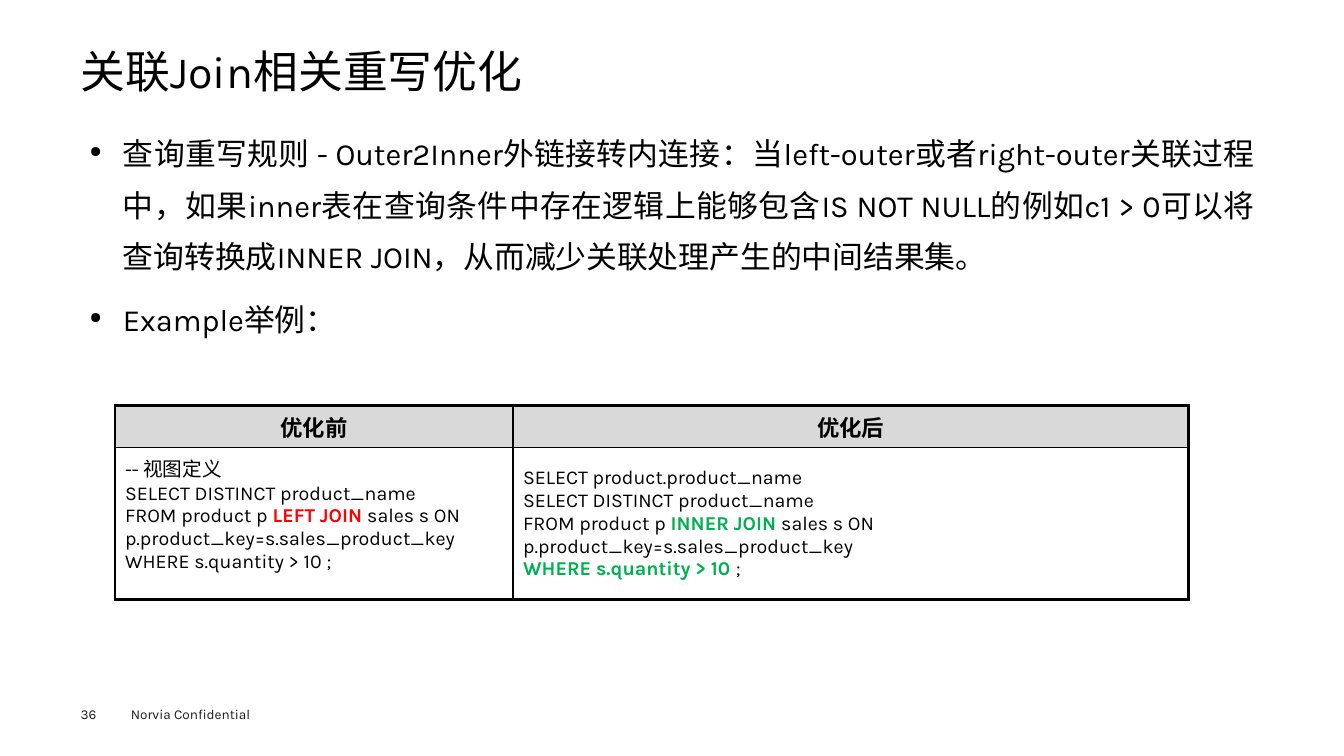
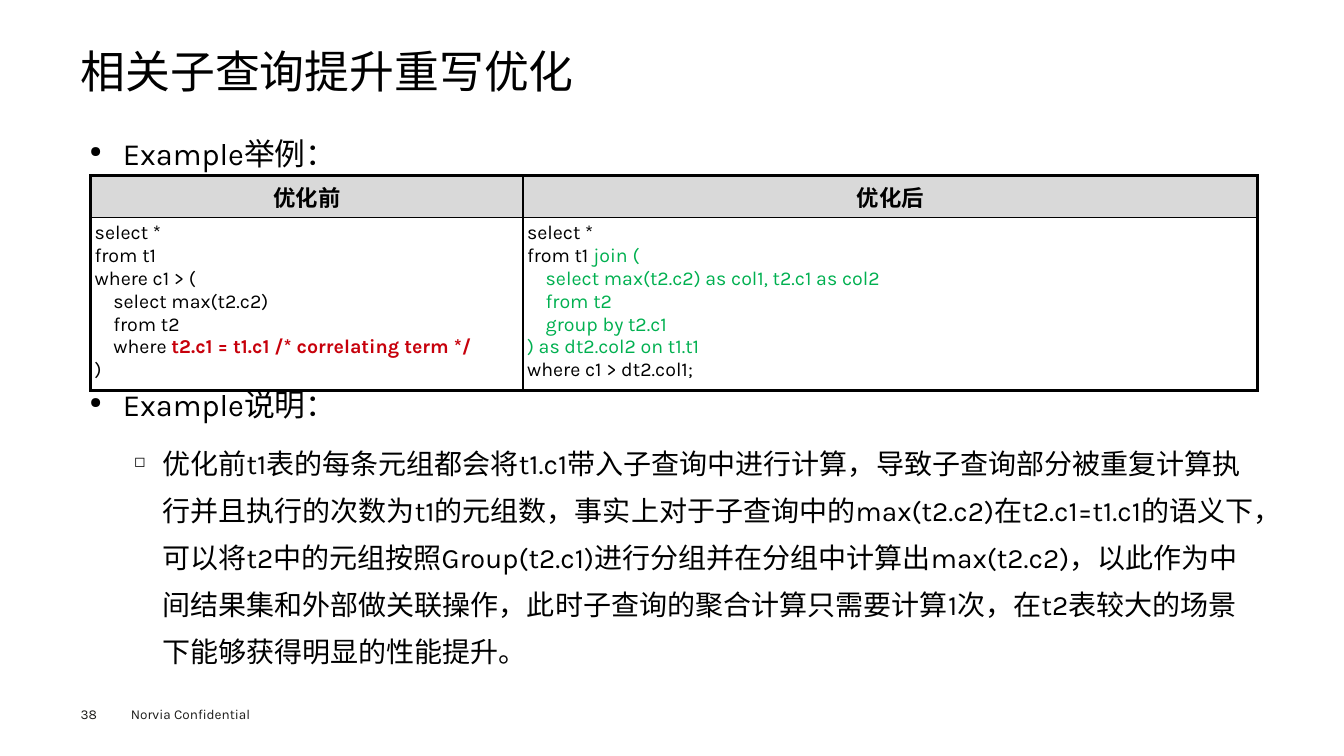
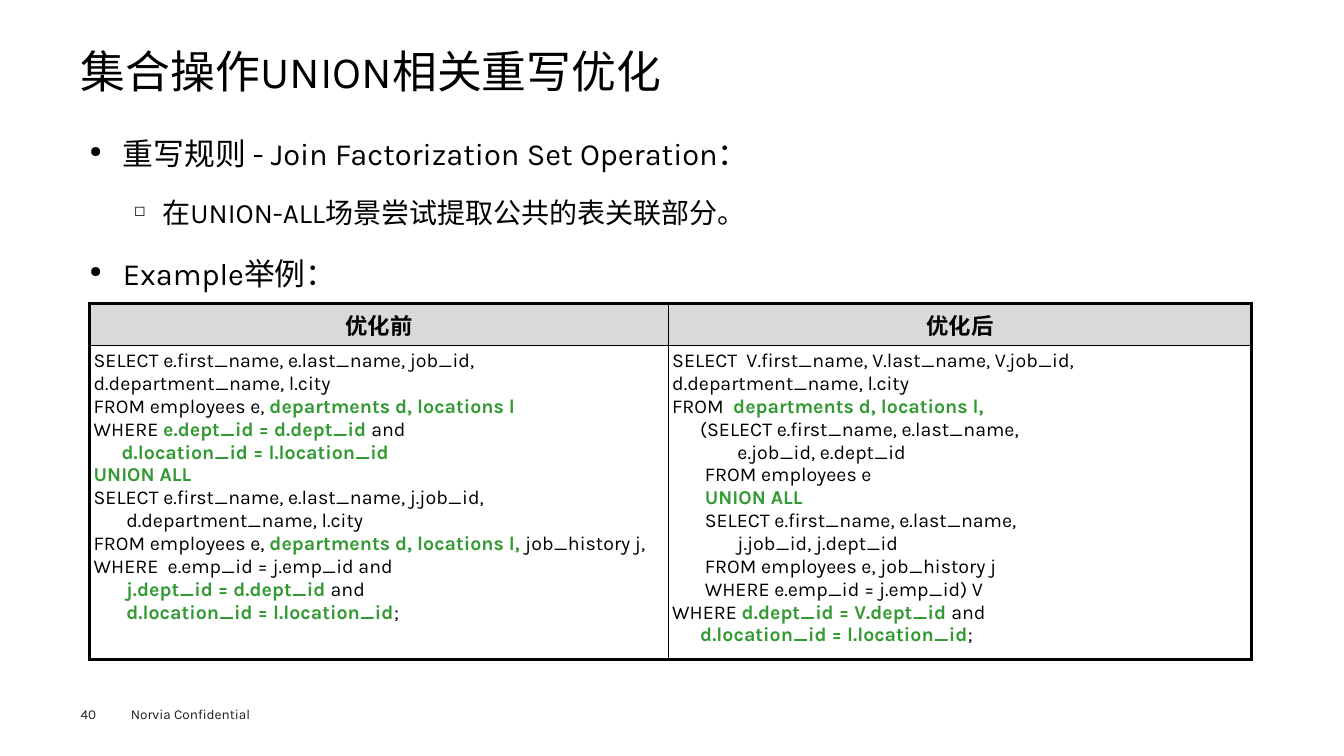
from dataclasses import dataclass

from lxml.etree import SubElement
from pptx import Presentation
from pptx.dml.color import RGBColor as Rgb
from pptx.enum.text import MSO_ANCHOR as Anchor, PP_ALIGN as Align
from pptx.oxml.ns import qn
from pptx.util import Inches, Pt


@dataclass(frozen=True)
class Theme:
    """Colours, type sizes and weights shared by all slides."""
    face: str = "Karla"
    ink: str = "000000"
    footer_ink: str = "1D1D1B"
    header_fill: str = "D9D9D9"
    paper: str = "FFFFFF"
    red: str = "FF0000"
    crimson: str = "C7000B"
    green: str = "00B050"
    forest: str = "339933"
    title: float = 32
    topic: float = 22
    detail: float = 20
    header: float = 16
    code: float = 14
    footer: float = 9.7
    outer: float = 2.25
    inner: float = 1


@dataclass(frozen=True)
class Query:
    """Code whose parts between bars are accented, with its cell format."""
    text: str
    accent: str
    bold: bool = True
    margins: tuple = (0.04, 0.04, 0.04, 0.04)
    anchor: Anchor = Anchor.TOP


THEME = Theme()
GRID = 100
HEADER_ROWS = 5.6
BULLETS = {
    0: {"mark": "●", "size": THEME.topic, "indent": (0.33, -0.33),
        "format": {"level": 0, "alignment": Align.JUSTIFY, "line_spacing": 1.4,
                   "space_before": Pt(7.9)}},
    1: {"mark": "◻", "size": THEME.detail, "indent": (0.72, -0.28),
        "format": {"level": 1, "alignment": Align.LEFT, "line_spacing": 1.4,
                   "space_before": Pt(7.2)}},
}


class Deck:
    """Holds the style and the current slide on a 100 by 100 grid."""

    def __init__(self, theme):
        """Start an empty widescreen presentation."""
        self.theme = theme
        self.show = Presentation()
        self.show.slide_width, self.show.slide_height = Inches(13.33), Inches(7.5)
        self.slide = None

    def across(self, columns):
        """Turn grid columns into a length."""
        return round(self.show.slide_width * columns / GRID)

    def down(self, rows):
        """Turn grid rows into a length."""
        return round(self.show.slide_height * rows / GRID)

    def apply(self, target, values):
        """Set each named value on the target."""
        for name, value in values.items():
            setattr(target, name, value)

    def add_words(self, paragraph, words, size, colour=None, bold=False):
        """Add one styled run to a paragraph."""
        run = paragraph.add_run()
        run.text = words
        self.apply(run.font, {"name": self.theme.face, "size": Pt(size), "bold": bold})
        run.font.color.rgb = Rgb.from_string(colour or self.theme.ink)

    def margins(self, target, inches):
        """Set left, top, right and bottom margins."""
        sides = ("margin_left", "margin_top", "margin_right", "margin_bottom")
        self.apply(target, dict(zip(sides, map(Inches, inches))))

    def box(self, left, top, width, height, inset=(0, 0, 0, 0)):
        """Add a wrapping text box and return its frame."""
        frame = self.slide.shapes.add_textbox(
            self.across(left), self.down(top),
            self.across(width), self.down(height)).text_frame
        frame.word_wrap = True
        self.margins(frame, inset)
        return frame

    def page(self, title, number):
        """Open a slide with its title and footer."""
        self.slide = self.show.slides.add_slide(self.show.slide_layouts[6])
        label = self.box(9, 92.67, 12, 3.6, (0.1, 0.05, 0.1, 0.05))
        folio = self.box(6, 93.33, 4.13, 2.13)
        for frame, words in ((label, "Norvia Confidential"), (folio, str(number))):
            self.add_words(frame.paragraphs[0], words, self.theme.footer,
                           self.theme.footer_ink)
        heading = self.box(6, 6.53, 88, 7.07).paragraphs[0]
        heading.line_spacing = 0.9
        self.add_words(heading, title, self.theme.title)

    def points(self, items, top=15.33, height=71.2):
        """Add bulleted text from pairs of level and words."""
        frame = self.box(6, top, 88, height, (0.09, 0.04, 0.09, 0.04))
        for order, (level, words) in enumerate(items):
            style = BULLETS[level]
            point = frame.add_paragraph() if order else frame.paragraphs[0]
            props = point._p.get_or_add_pPr()
            for name, inches in zip(("marL", "indent"), style["indent"]):
                props.set(name, str(Inches(inches)))
            SubElement(props, qn("a:buSzPct"), val="50000")
            SubElement(props, qn("a:buChar"), char=style["mark"])
            self.apply(point, style["format"])
            if not order:
                point.space_before = Pt(0)
            self.add_words(point, words, style["size"])

    def finish_cell(self, cell, row, column, fill):
        """Draw thick outer and thin inner borders, then fill."""
        props = cell._tc.get_or_add_tcPr()
        thick = {"L": column == 0, "R": column == 1, "T": row == 0, "B": row == 1}
        for side, is_outer in thick.items():
            points = self.theme.outer if is_outer else self.theme.inner
            line = SubElement(props, qn(f"a:ln{side}"), w=str(Pt(points)))
            paint = SubElement(line, qn("a:solidFill"))
            SubElement(paint, qn("a:srgbClr"), val=self.theme.ink)
        cell.fill.solid()
        cell.fill.fore_color.rgb = Rgb.from_string(fill)

    def code(self, cell, query):
        """Put a query into a cell, one paragraph a line."""
        self.margins(cell, query.margins)
        cell.vertical_anchor = query.anchor
        frame = cell.text_frame
        for order, line in enumerate(query.text.strip().splitlines()):
            paragraph = frame.add_paragraph() if order else frame.paragraphs[0]
            for place, words in enumerate(line.split("|")):
                accented = place % 2 == 1
                if words:
                    self.add_words(paragraph, words, self.theme.code,
                                   query.accent if accented else None,
                                   accented and query.bold)

    def comparison(self, left, top, widths, height, queries):
        """Add the table of queries before and after rewriting."""
        table = self.slide.shapes.add_table(
            2, 2, self.across(left), self.down(top), self.across(sum(widths)),
            self.down(HEADER_ROWS + height)).table
        self.apply(table, {"first_row": False, "horz_banding": False})
        for row, rows in zip(table.rows, (HEADER_ROWS, height)):
            row.height = self.down(rows)
        for column, (heading, query) in enumerate(zip(("优化前", "优化后"), queries)):
            table.columns[column].width = self.across(widths[column])
            header, body = table.cell(0, column), table.cell(1, column)
            caption = header.text_frame.paragraphs[0]
            caption.alignment = Align.CENTER
            self.add_words(caption, heading, self.theme.header, bold=True)
            self.code(body, query)
            self.finish_cell(header, 0, column, self.theme.header_fill)
            self.finish_cell(body, 1, column, self.theme.paper)


OUTER_JOIN = Query("""
-- 视图定义
SELECT DISTINCT product_name
FROM product p |LEFT JOIN |sales s ON p.product_key=s.sales_product_key
WHERE s.quantity > 10 ;
""", THEME.red, margins=(0.1, 0.05, 0.1, 0.25), anchor=Anchor.MIDDLE)

INNER_JOIN = Query("""
SELECT product.product_name
SELECT DISTINCT product_name
FROM product p |INNER JOIN |sales s ON p.product_key=s.sales_product_key
|WHERE s.quantity > 10 |;
""", THEME.green, margins=(0.1, 0.05, 0.1, 0.05), anchor=Anchor.MIDDLE)

SUBQUERY = Query("""
select *
from t1
where c1 > (
    select max(t2.c2)
    from t2
    where |t2.c1 = t1.c1 /* correlating term */|
)
""", THEME.crimson)

LIFTED = Query("""
select *
from t1 |join (
|    select max(t2.c2) as col1, t2.c1 as col2
|    from t2
|    group by t2.c1
|) as dt2.col2 on t1.t1
where c1 > dt2.col1;
""", THEME.green, bold=False)

UNION = Query("""
SELECT e.first_name, e.last_name, job_id, d.department_name, l.city
FROM employees e, |departments d, locations l
WHERE |e.dept_id = d.dept_id |and
      |d.location_id = l.location_id
|UNION ALL
SELECT e.first_name, e.last_name, j.job_id,
       d.department_name, l.city
FROM employees e, |departments d, locations l, |job_history j,
WHERE  e.emp_id = j.emp_id and
       |j.dept_id = d.dept_id |and
       |d.location_id = l.location_id|;
""", THEME.forest)

FACTORED = Query("""
SELECT  V.first_name, V.last_name, V.job_id, d.department_name, l.city
FROM  |departments d, locations l,
      (SELECT e.first_name, e.last_name,
              e.job_id, e.dept_id
       FROM employees e
       |UNION ALL
       SELECT e.first_name, e.last_name,
              j.job_id, j.dept_id
       FROM employees e, job_history j
       WHERE e.emp_id = j.emp_id) V
WHERE |d.dept_id = V.dept_id |and
      |d.location_id = l.location_id|;
""", THEME.forest)


def main():
    """Build the three slides and save them."""
    deck = Deck(THEME)
    example = (0, "Example举例：")

    deck.page("关联Join相关重写优化", 36)
    deck.points([
        (0, "查询重写规则 - Outer2Inner外链接转内连接：当left-outer或者right-outer"
            "关联过程中，如果inner表在查询条件中存在逻辑上能够包含IS NOT NULL的"
            "例如c1 > 0可以将查询转换成INNER JOIN，从而减少关联处理产生的中间结果集。"),
        example])
    deck.comparison(8.55, 53.6, (29.62, 50.25), 20.13, (OUTER_JOIN, INNER_JOIN))

    deck.page("相关子查询提升重写优化", 38)
    deck.points([example], height=7.8)
    deck.points([
        (0, "Example说明："),
        (1, "优化前t1表的每条元组都会将t1.c1带入子查询中进行计算，导致子查询部分被"
            "重复计算执行并且执行的次数为t1的元组数，事实上对于子查询中的max(t2.c2)"
            "在t2.c1=t1.c1的语义下，可以将t2中的元组按照Group(t2.c1)进行分组并在"
            "分组中计算出max(t2.c2)，以此作为中间结果集和外部做关联操作，此时子查询的"
            "聚合计算只需要计算1次，在t2表较大的场景下能够获得明显的性能提升。")],
        top=48.53, height=42)
    deck.comparison(6.75, 23.2, (32.17, 54.67), 22.13, (SUBQUERY, LIFTED))

    deck.page("集合操作UNION相关重写优化", 40)
    deck.points([
        (0, "重写规则 - Join Factorization Set Operation："),
        (1, "在UNION-ALL场景尝试提取公共的表关联部分。"),
        example])
    deck.comparison(6.67, 40.13, (43.05, 43.42), 40.53, (UNION, FACTORED))

    deck.show.save("out.pptx")


if __name__ == "__main__":
    main()
